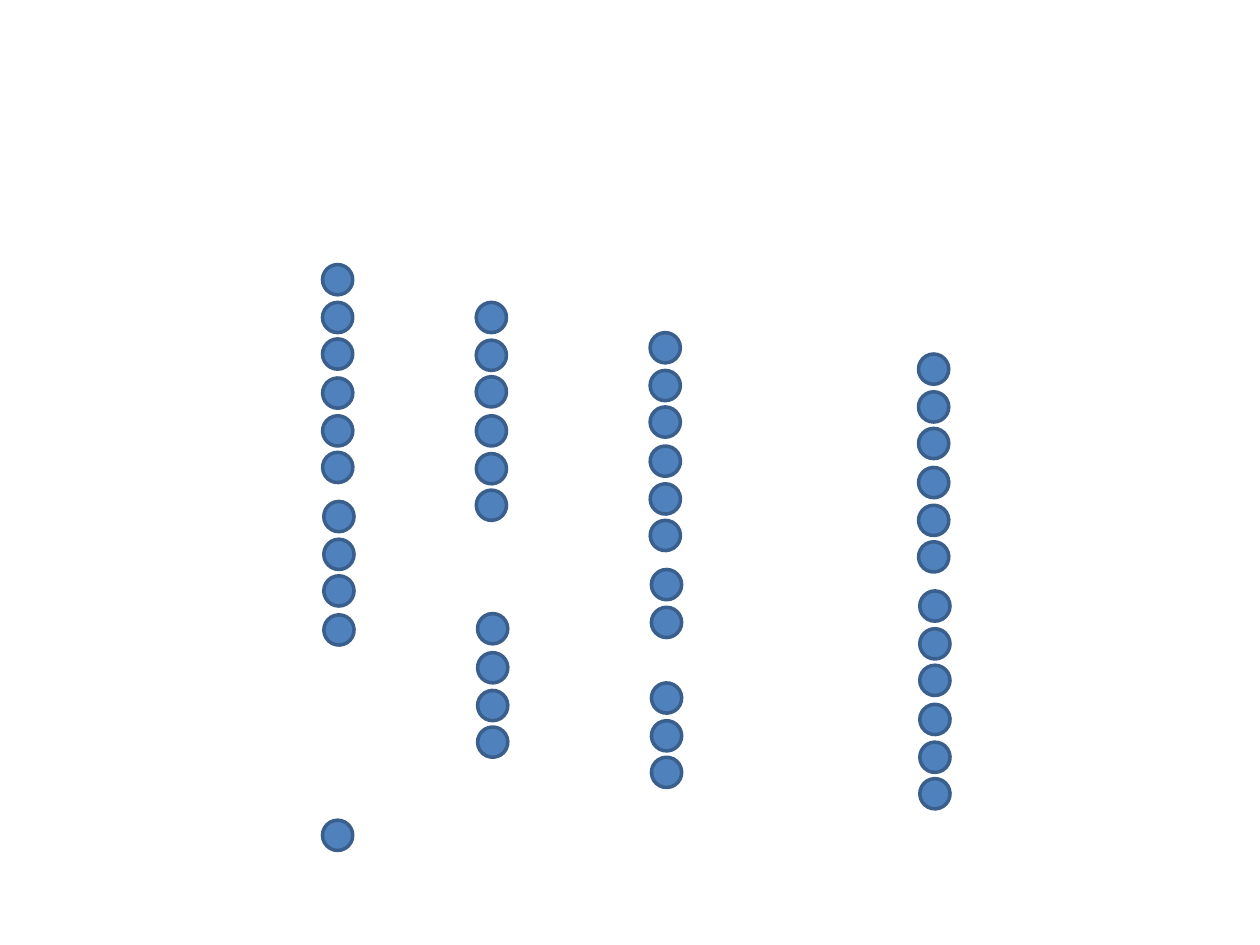
from pptx import Presentation
from pptx.dml.color import RGBColor
from pptx.enum.shapes import MSO_SHAPE
from pptx.util import Inches, Pt

BLUE = RGBColor(0x4F, 0x81, 0xBD)
DARK_BLUE = RGBColor(0x3A, 0x5F, 0x8C)
DIAMETER = 0.24
TURN = 102.2
GROUP_STEP = 1.88
TRIPLE_STEP = 0.9
DOT_STEPS = (0, 0.3, 0.59)
COLUMNS = (
    (2.56, 2.1, range(10)),
    (3.78, 2.4, (*range(6), *range(8, 12))),
    (5.16, 2.64, (*range(8), *range(9, 12))),
    (7.29, 2.81, range(12)),
)
LONE_DOT = (2.56, 6.51)


def add_dot(s, left, top, rotation=0):
    """Add one outlined round dot."""
    sp = s.shapes.add_shape(MSO_SHAPE.OVAL, Inches(left), Inches(top),
                            Inches(DIAMETER), Inches(DIAMETER))
    sp.shadow.inherit = False
    sp.rotation = rotation
    sp.fill.solid()
    sp.fill.fore_color.rgb = BLUE
    sp.line.color.rgb = DARK_BLUE
    sp.line.width = Pt(2)


def add_column(s, left, top, slots):
    """Add dots in the filled slots of two groups of two triples."""
    for slot in slots:
        group, place = divmod(slot, 6)
        triple, dot = divmod(place, 3)
        y = top + group * GROUP_STEP + triple * TRIPLE_STEP + DOT_STEPS[dot]
        add_dot(s, left + group * 0.01, y, triple * TURN)


def main():
    """Build and save the slide."""
    prs = Presentation()
    prs.slide_width, prs.slide_height = Inches(10), Inches(7.5)
    s = prs.slides.add_slide(prs.slide_layouts[6])
    for left, top, slots in COLUMNS:
        add_column(s, left, top, slots)
    add_dot(s, *LONE_DOT)
    prs.save("out.pptx")


if __name__ == "__main__":
    main()
